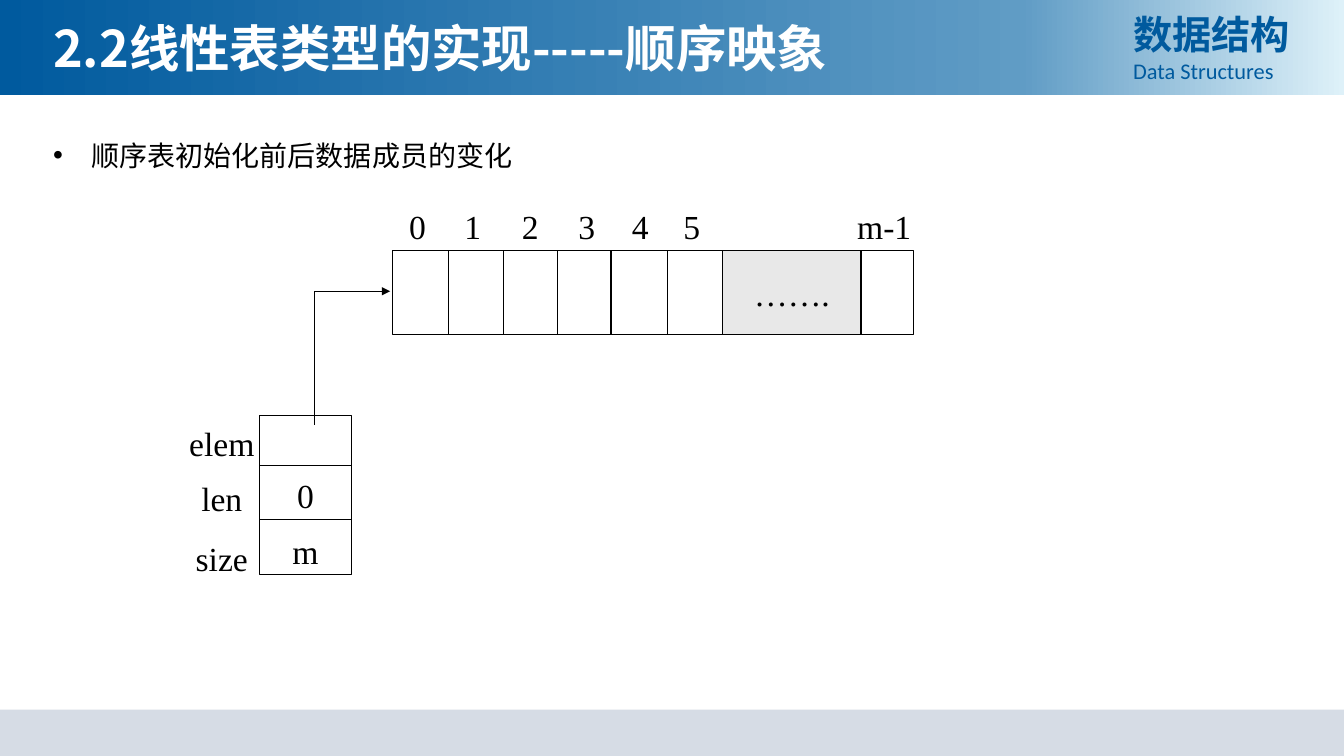
import copy

import lxml.etree
import pptx
import pptx.dml.color
import pptx.enum.shapes
import pptx.enum.text
import pptx.oxml.ns
import pptx.util

EMU_PER_PX = 9144
COLORS = {
    "navy": "005A9E",
    "blue": "609CC5",
    "pale": "DEF1F9",
    "footer": "D6DCE5",
    "gray": "E8E8E8",
    "black": "000000",
    "white": "FFFFFF",
}
CJK = "Noto Sans CJK SC"
SERIF = "Times New Roman"
ALIGN = pptx.enum.text.PP_ALIGN
ANCHOR = pptx.enum.text.MSO_ANCHOR


def px(value):
    return pptx.util.Emu(value * EMU_PER_PX)


def color(name):
    return pptx.dml.color.RGBColor.from_string(COLORS[name])


def add_child(parent, tag, **attributes):
    return lxml.etree.SubElement(parent, pptx.oxml.ns.qn(tag), **attributes)


def write_text(para, text, *, size, font=SERIF, ink="black", bold=False,
               align=ALIGN.CENTER, bullet=None, indent=0):
    if bullet:
        properties = para._p.get_or_add_pPr()
        properties.set("marL", str(px(indent)))
        properties.set("indent", str(-px(indent)))
        add_child(properties, "a:buFont", typeface="Arial")
        add_child(properties, "a:buChar", char=bullet)
    para.alignment = align
    span = para.add_run()
    span.text = text
    span.font.size = pptx.util.Pt(size)
    span.font.name = font
    span.font.bold = bold
    span.font.color.rgb = color(ink)
    add_child(span._r.get_or_add_rPr(), "a:ea", typeface=font)


def add_text(page, left, top, width, height, lines):
    box = page.shapes.add_textbox(px(left), px(top), px(width), px(height))
    frame = box.text_frame
    frame.word_wrap = True
    for number, (text, style) in enumerate(lines):
        para = frame.add_paragraph() if number else frame.paragraphs[0]
        write_text(para, text, **style)
    return frame


def add_label(page, text, center, top, width, height):
    frame = add_text(page, center - width // 2, top, width, height,
                     [(text, {"size": 24})])
    frame.vertical_anchor = ANCHOR.MIDDLE
    frame.margin_left = frame.margin_right = 0
    frame.margin_top = frame.margin_bottom = 0


def add_rect(page, left, top, width, height, *, fill=None, line=None):
    rect = page.shapes.add_shape(pptx.enum.shapes.MSO_SHAPE.RECTANGLE,
                                 px(left), px(top), px(width), px(height))
    rect.shadow.inherit = False
    if fill:
        rect.fill.solid()
        rect.fill.fore_color.rgb = color(fill)
    else:
        rect.fill.background()
    if line:
        rect.line.color.rgb = color(line)
        rect.line.width = pptx.util.Pt(0.75)
    else:
        rect.line.fill.background()
    return rect


def add_line(page, start_x, start_y, end_x, end_y, *, arrow=False):
    line = page.shapes.add_connector(pptx.enum.shapes.MSO_CONNECTOR.STRAIGHT,
                                     px(start_x), px(start_y), px(end_x), px(end_y))
    line.line.color.rgb = color("black")
    line.line.width = pptx.util.Pt(0.75)
    if arrow:
        add_child(line.line._get_or_add_ln(), "a:tailEnd", type="triangle")
    add_child(line._element.spPr, "a:effectLst")


def paint_gradient(shape, stops):
    shape.fill.gradient()
    shape.fill.gradient_angle = 0
    stop_list = shape._element.spPr.find(".//" + pptx.oxml.ns.qn("a:gsLst"))
    while len(stop_list) < len(stops):
        stop_list.append(copy.deepcopy(stop_list[0]))
    for stop, (position, name) in zip(shape.fill.gradient_stops, stops):
        stop.position = position
        stop.color.rgb = color(name)


def add_header_and_footer(page):
    banner = add_rect(page, 0, 0, 1333, 94)
    paint_gradient(banner, [(0, "navy"), (0.76, "blue"), (1, "pale")])
    add_text(page, 43, 12, 863, 71, [
        ("2.2线性表类型的实现-----顺序映象",
         {"size": 36, "font": CJK, "ink": "white", "bold": True, "align": ALIGN.LEFT}),
    ])
    add_rect(page, 0, 704, 1333, 46, fill="footer")
    course = {"ink": "navy", "align": ALIGN.JUSTIFY}
    add_text(page, 1114, 5, 191, 84, [
        ("数据结构", {"size": 28, "font": CJK, "bold": True, **course}),
        ("Data Structures", {"size": 16, "font": "Calibri", **course}),
    ])


def add_array(page):
    top, height = 249, 83
    add_rect(page, 389, top, 517, height, line="black")
    for divider in (445, 499, 553, 606, 662):
        add_line(page, divider, top, divider, top + height)
    gap = add_rect(page, 717, top, 137, height, fill="gray", line="black")
    gap.text_frame.word_wrap = False
    gap.text_frame.vertical_anchor = ANCHOR.MIDDLE
    write_text(gap.text_frame.paragraphs[0], "…….", size=24)
    for index, center in enumerate((414, 469, 526, 582, 635, 686)):
        add_label(page, str(index), center, 203, 34, 42)
    add_label(page, "m-1", 877, 203, 60, 42)


def add_record(page):
    left, width = 257, 92
    add_rect(page, left, 412, width, 158, line="black")
    for divider in (462, 515):
        add_line(page, left, divider, left + width, divider)
    for name, top in (("elem", 423), ("len", 478), ("size", 537)):
        add_label(page, name, 220, top, 70, 33)
    for value, top in (("0", 475), ("m", 530)):
        add_label(page, value, 303, top, 50, 33)


def main():
    deck = pptx.Presentation()
    deck.slide_width, deck.slide_height = px(1333), px(750)
    page = deck.slides.add_slide(deck.slide_layouts[6])
    add_header_and_footer(page)
    add_text(page, 43, 132, 900, 533, [
        ("顺序表初始化前后数据成员的变化",
         {"size": 20, "font": CJK, "align": ALIGN.LEFT, "bullet": "•", "indent": 38}),
    ])
    add_array(page)
    add_line(page, 312, 289, 312, 422)
    add_line(page, 312, 289, 387, 289, arrow=True)
    add_record(page)
    deck.save("out.pptx")


if __name__ == "__main__":
    main()
